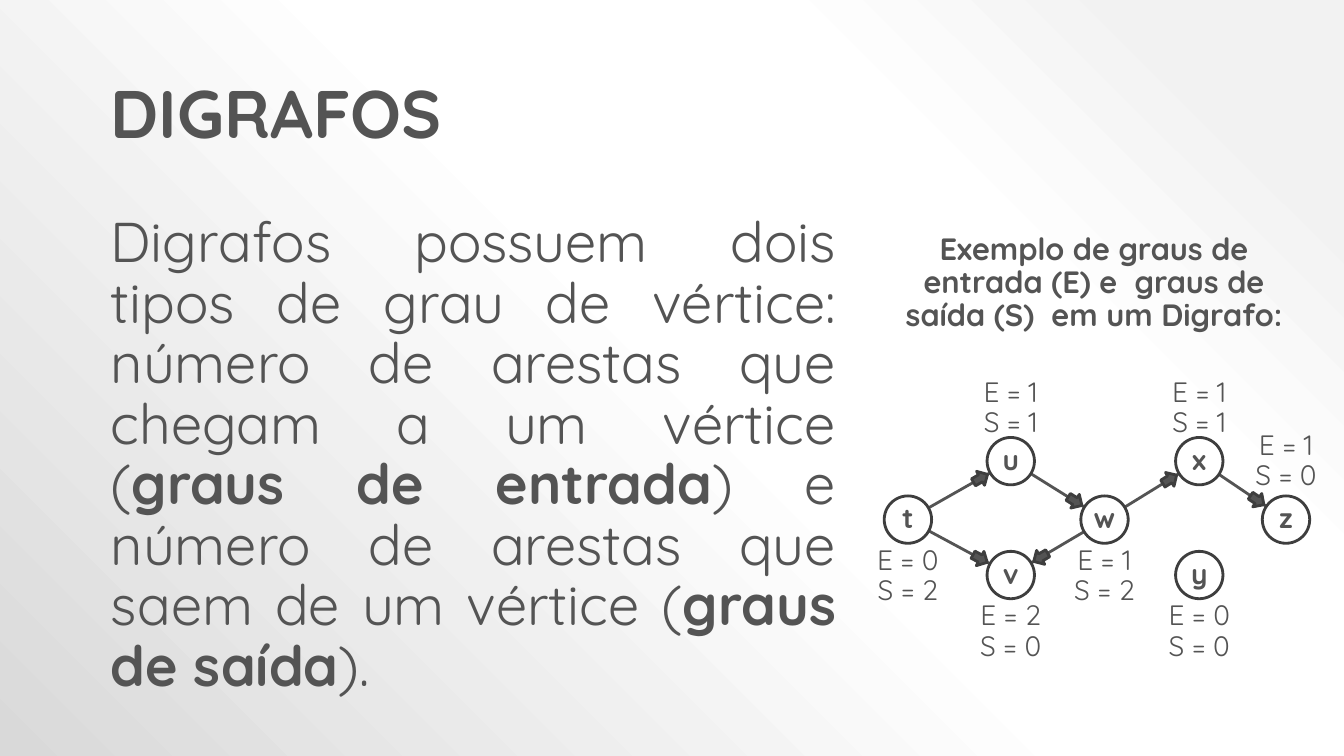
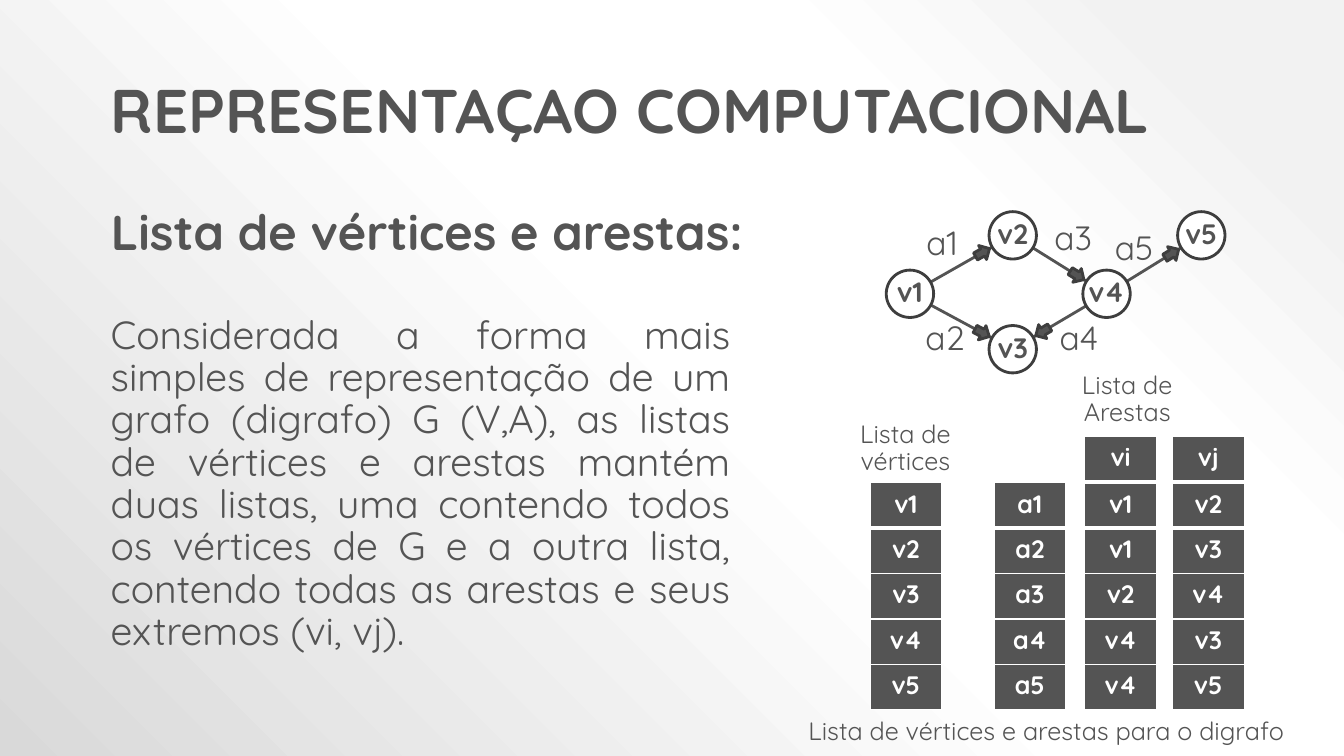
import math

from lxml import etree
from pptx import Presentation
from pptx.dml.color import RGBColor
from pptx.enum.shapes import MSO_CONNECTOR, MSO_SHAPE
from pptx.enum.text import MSO_ANCHOR, PP_ALIGN
from pptx.oxml.ns import qn
from pptx.util import Inches, Pt

STRAIGHT = MSO_CONNECTOR.STRAIGHT
OVAL, ARROW = MSO_SHAPE.OVAL, MSO_SHAPE.UP_ARROW
LEFT, CENTER, JUSTIFY = PP_ALIGN.LEFT, PP_ALIGN.CENTER, PP_ALIGN.JUSTIFY
TOP, MIDDLE = MSO_ANCHOR.TOP, MSO_ANCHOR.MIDDLE

GRAY = RGBColor(0x54, 0x54, 0x54)
OUTLINE = RGBColor(0x3E, 0x3E, 0x3E)
WHITE = RGBColor(0xFF, 0xFF, 0xFF)
GRADIENT = [
    (10, RGBColor(0xF2, 0xF2, 0xF2)),
    (28, WHITE),
    (48, WHITE),
    (100, RGBColor(0xD9, 0xD9, 0xD9)),
]
FONT = "Quicksand"
MARGIN = 1.0
TITLE_TOP = 0.75

NODE = 0.47
ARROW_SIZE = 0.16
ARROW_GAP = 0.345
COLUMNS = (0, 1.02, 1.95, 2.89, 3.75)
ROWS = (0, 0.58, 1.13)
BELOW, ABOVE, HIGH_ABOVE = 0.45, -0.64, -0.69
CELL_WIDTH, CELL_HEIGHT = 0.71, 0.45


def lengths(box):
    return [Inches(value) for value in box]


def write_text(frame, text, size=20, bold=False, align=LEFT, color=GRAY, spacing=0.9):
    for index, line in enumerate(text.split("\n")):
        para = frame.paragraphs[0] if index == 0 else frame.add_paragraph()
        para.alignment = align
        para.line_spacing = spacing
        for position, piece in enumerate(line.split("*")):
            if piece:
                span = para.add_run()
                span.text = piece
                span.font.name = FONT
                span.font.size = Pt(size)
                span.font.bold = bold or position % 2 == 1
                span.font.color.rgb = color


def add_text(page, box, text, **style):
    frame = page.shapes.add_textbox(*lengths(box)).text_frame
    frame.word_wrap = True
    frame.vertical_anchor = TOP
    write_text(frame, text, **style)


def add_figure(page, kind, box, fill):
    figure = page.shapes.add_shape(kind, *lengths(box))
    figure.shadow.inherit = False
    figure.fill.solid()
    figure.fill.fore_color.rgb = fill
    figure.line.color.rgb = OUTLINE
    figure.line.width = Pt(2)
    return figure


def add_edge(page, start, end):
    edge = page.shapes.add_connector(STRAIGHT, *lengths(start + end))
    edge.line.color.rgb = GRAY
    edge.line.width = Pt(2)
    etree.SubElement(edge.element.spPr, qn("a:effectLst"))


def add_node(page, center, name):
    box = (center[0] - NODE / 2, center[1] - NODE / 2, NODE, NODE)
    frame = add_figure(page, OVAL, box, WHITE).text_frame
    frame.margin_left = frame.margin_right = 0
    frame.margin_top = frame.margin_bottom = 0
    frame.word_wrap = False
    frame.vertical_anchor = MIDDLE
    write_text(frame, name, bold=True, align=CENTER)


def add_arrow(page, start, end):
    across, down = end[0] - start[0], end[1] - start[1]
    share = ARROW_GAP / math.hypot(across, down)
    left = end[0] - across * share - ARROW_SIZE / 2
    top = end[1] - down * share - ARROW_SIZE / 2
    arrow = add_figure(page, ARROW, (left, top, ARROW_SIZE, ARROW_SIZE), GRAY)
    arrow.rotation = math.degrees(math.atan2(across, -down)) % 360


def add_digraph(page, left, top, places, edges):
    centers = {
        name: (left + COLUMNS[column] + NODE / 2, top + ROWS[row] + NODE / 2)
        for name, (column, row) in places.items()
    }
    ends = [(centers[start], centers[end]) for start, end in edges]
    for start, end in ends:
        add_edge(page, start, end)
    for name, center in centers.items():
        add_node(page, center, name)
    for start, end in ends:
        add_arrow(page, start, end)
    return centers


def add_list(page, left, top, values):
    box = (left, top, CELL_WIDTH, CELL_HEIGHT * len(values))
    table = page.shapes.add_table(len(values), 1, *lengths(box)).table
    table.first_row = table.horz_banding = False
    for index, value in enumerate(values):
        cell = table.cell(index, 0)
        cell.fill.solid()
        cell.fill.fore_color.rgb = GRAY
        write_text(cell.text_frame, value, size=18, bold=True, align=CENTER,
                   color=WHITE, spacing=1.0)
        properties = cell._tc.get_or_add_tcPr()
        for order, side in enumerate(("lnL", "lnR", "lnT", "lnB")):
            heavy = (side == "lnB" and index == 0) or (side == "lnT" and index == 1)
            border = etree.Element(qn("a:" + side), w=str(Pt(3 if heavy else 1)))
            paint = etree.SubElement(border, qn("a:solidFill"))
            etree.SubElement(paint, qn("a:srgbClr"), val=str(WHITE))
            properties.insert(order, border)


def set_background(master):
    master.background.fill.gradient()
    gradient = master.element.cSld.find(".//" + qn("a:gradFill"))
    for child in list(gradient):
        gradient.remove(child)
    stops = etree.SubElement(gradient, qn("a:gsLst"))
    for position, color in GRADIENT:
        stop = etree.SubElement(stops, qn("a:gs"), pos=str(position * 1000))
        etree.SubElement(stop, qn("a:srgbClr"), val=str(color))
    shade = etree.SubElement(gradient, qn("a:path"), path="circle")
    etree.SubElement(shade, qn("a:fillToRect"), l="100000", b="100000")


def add_page(deck, title, size):
    page = deck.slides.add_slide(deck.slide_layouts[6])
    add_text(page, (MARGIN, TITLE_TOP, 11.14, 0.85), title, size=size, bold=True)
    return page


def build_degrees(deck):
    page = add_page(deck, "DIGRAFOS", 48)
    add_text(
        page, (MARGIN, 2.08, 7.39, 5),
        "Digrafos possuem dois tipos de grau de vértice: número de arestas que "
        "chegam a um vértice (*graus de entrada*) e número de arestas que saem "
        "de um vértice (*graus de saída*).",
        size=40, align=JUSTIFY)
    add_text(
        page, (8.7, 2.27, 4.3, 1.1),
        "Exemplo de graus de entrada (E) e  graus de saída (S)  em um Digrafo:",
        size=22, bold=True, align=CENTER)
    places = {"t": (0, 1), "u": (1, 0), "v": (1, 2), "w": (2, 1),
              "x": (3, 0), "y": (3, 2), "z": (4, 1)}
    centers = add_digraph(page, 8.77, 4.34, places,
                          ["tv", "uw", "wv", "wx", "xz", "tu"])
    degrees = {"t": (0, 2, BELOW), "u": (1, 1, ABOVE), "v": (2, 0, BELOW),
               "w": (1, 2, BELOW), "x": (1, 1, ABOVE), "y": (0, 0, BELOW),
               "z": (1, 0, HIGH_ABOVE)}
    for name, (entering, leaving, offset) in degrees.items():
        across, down = centers[name]
        add_text(page, (across - 0.43, down - NODE / 2 + offset, 0.86, 0.7),
                 f"E = {entering}\nS = {leaving}", align=CENTER)


def build_lists(deck):
    page = add_page(deck, "REPRESENTAÇAO COMPUTACIONAL", 44)
    add_text(page, (MARGIN, 2.02, 6.69, 0.65), "Lista de vértices e arestas:",
             size=35, bold=True)
    add_text(
        page, (MARGIN, 3.08, 6.34, 3.5),
        "Considerada a forma mais simples de representação de um grafo (digrafo) "
        "G (V,A), as listas de vértices e arestas mantém duas listas, uma contendo "
        "todos os vértices de G e a outra lista, contendo todas as arestas e seus "
        "extremos (vi, vj).",
        size=28, align=JUSTIFY)

    places = {"v1": (0, 1), "v2": (1, 0), "v3": (1, 2), "v4": (2, 1), "v5": (3, 0)}
    edges = [("v1", "v2"), ("v1", "v3"), ("v2", "v4"), ("v4", "v3"), ("v4", "v5")]
    add_digraph(page, 8.79, 2.1, places, edges)
    corners = [(9.09, 2.2), (9.08, 3.14), (10.36, 2.15), (10.41, 3.14), (10.96, 2.25)]
    names = [f"a{number}" for number in range(1, 6)]
    for name, corner in zip(names, corners):
        add_text(page, corner + (0.62, 0.46), name, size=24)

    add_text(page, (8.38, 4.13, 1.2, 0.65), "Lista de\nvértices", size=18, align=CENTER)
    add_text(page, (10.58, 3.65, 1.2, 0.65), "Lista de\nArestas", size=18, align=CENTER)
    starts, ends = zip(*edges)
    for left, values in ((8.63, places), (9.86, names), (10.76, starts), (11.63, ends)):
        add_list(page, left, 4.79, list(values))
    for left, heading in ((10.76, "vi"), (11.63, "vj")):
        add_list(page, left, 4.33, [heading])
    add_text(page, (7.92, 7.08, 5.17, 0.37),
             "Lista de vértices e arestas para o digrafo", size=18)


def main():
    deck = Presentation()
    deck.slide_width, deck.slide_height = Inches(13.33), Inches(7.5)
    set_background(deck.slide_master)
    build_degrees(deck)
    build_lists(deck)
    deck.save("out.pptx")


if __name__ == "__main__":
    main()
